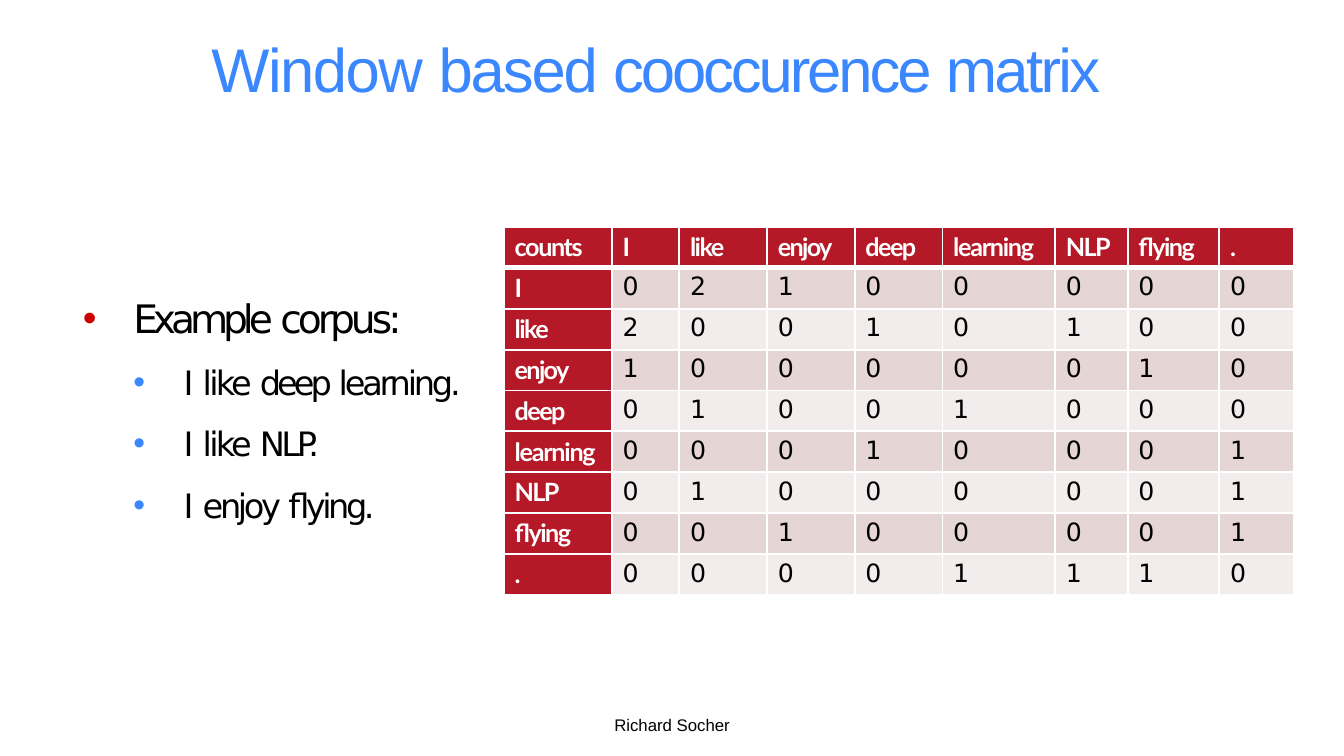
from lxml import etree
from pptx import Presentation
from pptx import util as u
from pptx.dml.color import RGBColor
from pptx.enum import text as t
from pptx.oxml import ns

COLORS = {
    "title": "3A87FF", "text": "000000", "corpus_bullet": "CC0000",
    "sentence_bullet": "3A87FF", "header": "B51826", "header_text": "FFFFFF",
    "band_dark": "E6D5D5", "band_light": "F3ECEC", "grid": "FFFFFF",
}

TITLE = [("Window ", -1.1), ("based ", -1.5), ("cooccurence ", -2.2), ("matrix", -1.9)]

# Level, size, space before, words with their letter spacing
CORPUS = [
    (0, 28, 0, [("Example ", -3.6), ("corpus:", -2.8)]),
    (1, 24, 14.4, [("I ", -1.1), ("like ", -2), ("deep ", -2.8), ("learning.", -2.3)]),
    (1, 24, 15.2, [("I ", -1.1), ("like ", -2), ("NLP.", -2.4)]),
    (1, 24, 15.2, [("I ", -1.1), ("enjoy ", -2.4), ("ﬂying.", -2.5)]),
]

# Vocabulary with letter spacing
VOCABULARY = [("I", 0), ("like", -1.1), ("enjoy", -1.2), ("deep", -1.1),
              ("learning", -0.9), ("NLP", -1.2), ("ﬂying", -1.1), (".", 0)]
COUNTS = ["02100000", "20010100", "10000010", "01001000",
          "00010001", "01000001", "00100001", "00001110"]
COLUMN_WIDTHS = [2.72, 1.7, 2.21, 2.21, 2.21, 2.84, 1.83, 2.31, 1.88]


def rgb(name):
    return RGBColor.from_string(COLORS[name])


def write_words(paragraph, words, font, size, color, bold=False):
    for word, spacing in words:
        run = paragraph.add_run()
        run.text = word
        run.font.name = font
        run.font.size = u.Pt(size)
        run.font.bold = bold
        run.font.color.rgb = rgb(color)
        if spacing:
            run.font._element.set("spc", str(round(spacing * 100)))


def add_text_frame(slide, left, top, width, height, inset_top=0):
    frame = slide.shapes.add_textbox(
        u.Cm(left), u.Cm(top), u.Cm(width), u.Cm(height)).text_frame
    frame.word_wrap = True
    frame.auto_size = t.MSO_AUTO_SIZE.SHAPE_TO_FIT_TEXT
    frame.margin_left = frame.margin_right = frame.margin_bottom = 0
    frame.margin_top = u.Cm(inset_top)
    return frame


def set_bullet(paragraph, indent, color):
    props = paragraph._p.get_or_add_pPr()
    props.set("marL", str(u.Cm(indent)))
    props.set("indent", str(u.Cm(-1.27)))
    bullet_color = etree.SubElement(props, ns.qn("a:buClr"))
    etree.SubElement(bullet_color, ns.qn("a:srgbClr"), val=COLORS[color])
    etree.SubElement(props, ns.qn("a:buFont"), typeface="Arial")
    etree.SubElement(props, ns.qn("a:buChar"), char="•")


def set_borders(cell, **widths):
    props = cell._tc.get_or_add_tcPr()
    for side in "LRTB":
        line = etree.SubElement(props, ns.qn(f"a:ln{side}"),
                                w=str(u.Pt(widths.get(side, 1.5))))
        fill = etree.SubElement(line, ns.qn("a:solidFill"))
        etree.SubElement(fill, ns.qn("a:srgbClr"), val=COLORS["grid"])


def add_title(slide, left, top, width, height):
    frame = add_text_frame(slide, left, top, width, height, 0.03)
    write_words(frame.paragraphs[0], TITLE, "Arial", 44, "title")


def add_corpus(slide, left, top, width, height):
    frame = add_text_frame(slide, left, top, width, height, 0.64)
    for i, (level, size, space, words) in enumerate(CORPUS):
        line = frame.add_paragraph() if i else frame.paragraphs[0]
        line.level = level
        set_bullet(line, 1.3 + 1.27 * level,
                   "sentence_bullet" if level else "corpus_bullet")
        if space:
            line.space_before = u.Pt(space)
        write_words(line, words, "DejaVu Sans", size, "text")


def add_counts(slide, left, top, width, height):
    header = [("counts", -1)] + VOCABULARY
    rows = [header] + [[word] + [(digit, 0) for digit in digits]
                       for word, digits in zip(VOCABULARY, COUNTS)]
    table = slide.shapes.add_table(
        len(rows), len(header), u.Cm(left), u.Cm(top),
        u.Cm(width), u.Cm(height)).table
    for column, column_width in zip(table.columns, COLUMN_WIDTHS):
        column.width = u.Cm(column_width)
    for r, row in enumerate(rows):
        table.rows[r].height = u.Cm(height / len(rows))
        # Thick rule between the header and the counts
        borders = {0: {"B": 4.25}, 1: {"T": 4.25}}.get(r, {})
        band = "band_dark" if r % 2 else "band_light"
        for c, entry in enumerate(row):
            is_header = r == 0 or c == 0
            cell = table.cell(r, c)
            cell.margin_left = u.Cm(0.27)
            cell.margin_right = cell.margin_bottom = 0
            cell.margin_top = u.Cm(0.12)
            set_borders(cell, **borders)
            cell.fill.solid()
            cell.fill.fore_color.rgb = rgb("header" if is_header else band)
            write_words(cell.text_frame.paragraphs[0], [entry],
                        "Lato" if is_header else "DejaVu Sans", 18,
                        "header_text" if is_header else "text", is_header)


def add_footer(slide, left, top, width, height):
    author = add_text_frame(slide, left, top, width, height).paragraphs[0]
    author.alignment = t.PP_ALIGN.CENTER
    author.line_spacing = u.Pt(14.2)
    write_words(author, [("Richard Socher", 0)], "Arial", 12, "text")


def main():
    deck = Presentation()
    deck.slide_width, deck.slide_height = u.Cm(33.87), u.Cm(19.05)
    slide = deck.slides.add_slide(deck.slide_layouts[6])
    add_title(slide, 5.33, 0.76, 26.67, 1.9)
    add_corpus(slide, 2.06, 6.78, 10.21, 6.48)
    add_counts(slide, 12.7, 5.72, sum(COLUMN_WIDTHS), 9.27)
    add_footer(slide, 13.74, 18.01, 6.4, 0.51)
    deck.save("out.pptx")


if __name__ == "__main__":
    main()
